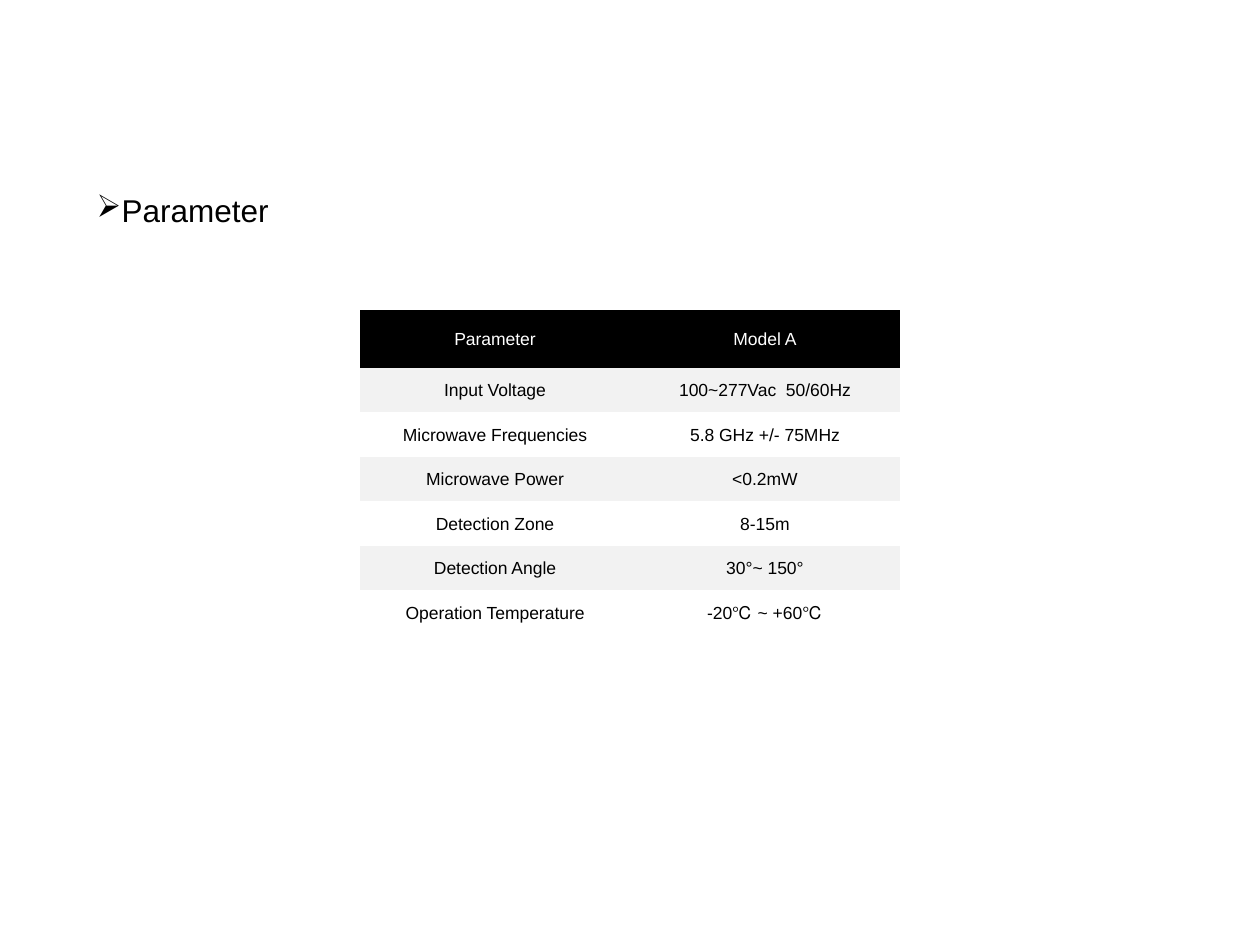
import pptx
import pptx.dml.color
import pptx.enum.text
import pptx.oxml.ns
import pptx.util
import lxml.etree

ALIGN = pptx.enum.text.PP_ALIGN
ANCHOR = pptx.enum.text.MSO_ANCHOR
NO_STYLE_NO_GRID = "{2D5ABB26-0587-4C30-8999-92F81FD0307C}"


def px(length):
    return pptx.util.Emu(round(length * 914400 / 126))


def write(frame, text, size=10, color="000000", align=ALIGN.CENTER, bullet=None):
    para = frame.paragraphs[0]
    para.alignment = align
    span = para.add_run()
    span.text = text
    span.font.size = pptx.util.Pt(size)
    span.font.name = "Arial"
    span.font.color.rgb = pptx.dml.color.RGBColor.from_string(color)
    if bullet:
        properties = para._p.get_or_add_pPr()
        properties.set("marL", "0")
        properties.set("indent", "0")
        mark = lxml.etree.SubElement(properties, pptx.oxml.ns.qn("a:buChar"))
        mark.set("char", bullet)


deck = pptx.Presentation()
deck.slide_width = px(1260)
deck.slide_height = px(945)
page = deck.slides.add_slide(deck.slide_layouts[5])

title = page.shapes.title
title.left, title.top, title.width, title.height = px(84), px(185), px(417), px(50)
title.text_frame.word_wrap = True
title.text_frame.auto_size = pptx.enum.text.MSO_AUTO_SIZE.SHAPE_TO_FIT_TEXT
title.text_frame.vertical_anchor = ANCHOR.TOP
write(title.text_frame, "Parameter", size=18, align=ALIGN.LEFT, bullet="➢")

records = [
    ("Parameter", "Model A"),
    ("Input Voltage", "100~277Vac  50/60Hz"),
    ("Microwave Frequencies", "5.8 GHz +/- 75MHz"),
    ("Microwave Power", "<0.2mW"),
    ("Detection Zone", "8-15m"),
    ("Detection Angle", "30°~ 150°"),
    ("Operation Temperature", "-20℃ ~ +60℃"),
]
holder = page.shapes.add_table(len(records), 2, px(360), px(310), px(540), px(325))
table = holder.table
table.first_row = False
table.horz_banding = False
table._tbl.tblPr.find(pptx.oxml.ns.qn("a:tableStyleId")).text = NO_STYLE_NO_GRID

header_height = px(58)
body_height = px(267) // (len(records) - 1)
for column in table.columns:
    column.width = px(270)

for row_index, record in enumerate(records):
    is_header = row_index == 0
    table.rows[row_index].height = header_height if is_header else body_height
    for column_index, text in enumerate(record):
        cell = table.cell(row_index, column_index)
        cell.vertical_anchor = ANCHOR.MIDDLE
        cell.margin_left = cell.margin_right = cell.margin_top = px(1)
        cell.margin_bottom = 0
        if is_header or row_index % 2:
            cell.fill.solid()
            shade = "000000" if is_header else "F2F2F2"
            cell.fill.fore_color.rgb = pptx.dml.color.RGBColor.from_string(shade)
        else:
            cell.fill.background()
        write(cell.text_frame, text, color="FFFFFF" if is_header else "000000")

deck.save("out.pptx")
